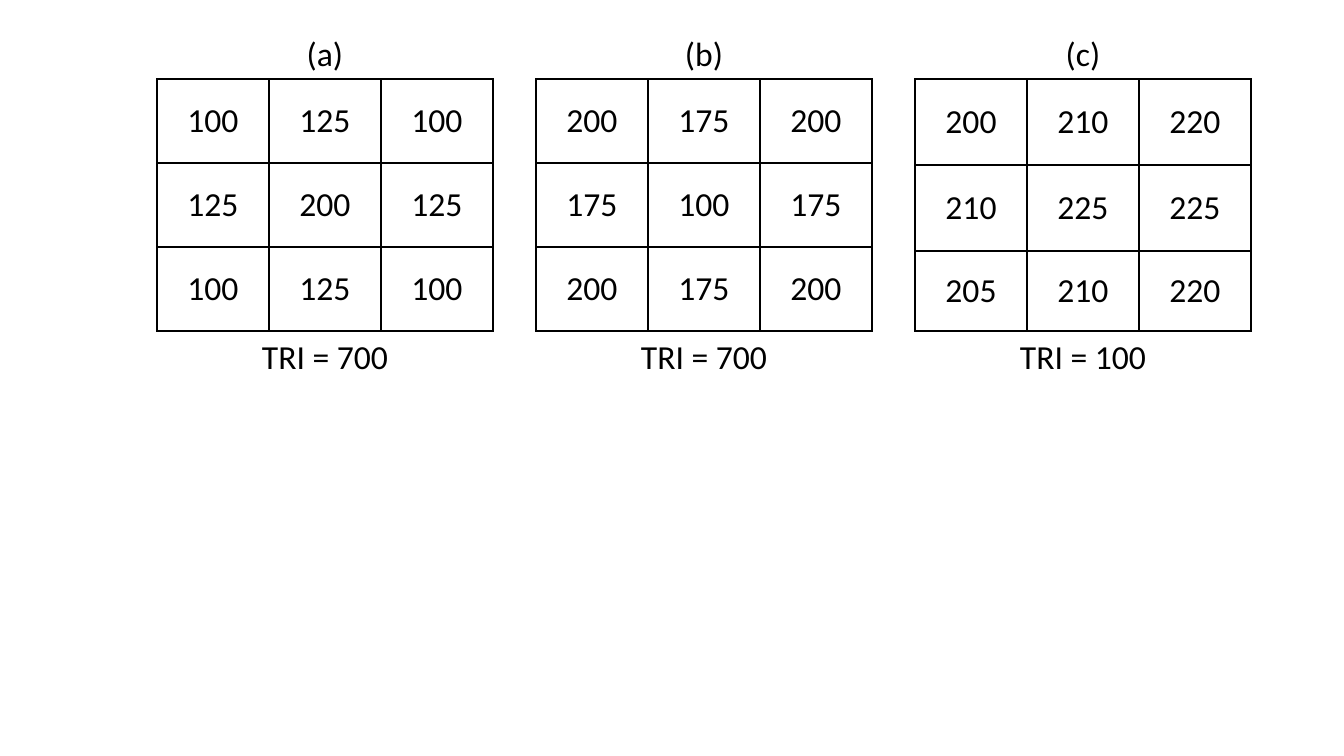
from dataclasses import dataclass

from lxml import etree
from pptx import Presentation
from pptx import util as u
from pptx.dml.color import RGBColor
from pptx.enum import text
from pptx.oxml.ns import qn


@dataclass(frozen=True)
class Theme:
    font: str = "Calibri"
    size: int = 24
    ink: str = "000000"
    border_pt: int = 1


THEME = Theme()
PX_PER_INCH = 100.8
PAGE_W, PAGE_H = 1344, 756
COLUMN_W = 112
GRID_W, GRID_H = 3 * COLUMN_W, 252
CAPTION_H = 51
PANEL_LEFT, PANEL_TOP, PANEL_STEP = 157, 28, 379

# Label, label width, result, row heights, elevations
PANELS = [
    ("(a)", 57, "TRI = 700", (84, 84, 84),
     [(100, 125, 100), (125, 200, 125), (100, 125, 100)]),
    ("(b)", 58, "TRI = 700", (84, 84, 84),
     [(200, 175, 200), (175, 100, 175), (200, 175, 200)]),
    ("(c)", 55, "TRI = 100", (86, 86, 80),
     [(200, 210, 220), (210, 225, 225), (205, 210, 220)]),
]
RESULT_W = 147


def px(length):
    return u.Emu(round(length * u.Inches(1) / PX_PER_INCH))


def style_text(para):
    para.alignment = text.PP_ALIGN.CENTER
    for span in para.runs:
        span.font.name = THEME.font
        span.font.size = u.Pt(THEME.size)
        span.font.color.rgb = RGBColor.from_string(THEME.ink)


def add_borders(cell):
    properties = cell._tc.get_or_add_tcPr()
    for index, side in enumerate(("lnL", "lnR", "lnT", "lnB")):
        line = etree.Element(qn(f"a:{side}"), w=str(u.Pt(THEME.border_pt)))
        fill = etree.SubElement(line, qn("a:solidFill"))
        etree.SubElement(fill, qn("a:srgbClr"), val=THEME.ink)
        properties.insert(index, line)


def add_caption(page, wording, center, top, width):
    box = page.shapes.add_textbox(
        px(center - width / 2), px(top), px(width), px(CAPTION_H))
    frame = box.text_frame
    frame.text = wording
    frame.word_wrap = False
    frame.auto_size = text.MSO_AUTO_SIZE.SHAPE_TO_FIT_TEXT
    style_text(frame.paragraphs[0])


def add_grid(page, left, top, row_heights, values):
    table = page.shapes.add_table(
        len(values), len(values[0]), px(left), px(top), px(GRID_W), px(GRID_H)).table
    table.first_row = False
    table.horz_banding = False
    for column in table.columns:
        column.width = px(COLUMN_W)
    for row, height, numbers in zip(table.rows, row_heights, values):
        row.height = px(height)
        for cell, number in zip(row.cells, numbers):
            cell.text = str(number)
            cell.vertical_anchor = text.MSO_ANCHOR.MIDDLE
            cell.fill.background()
            add_borders(cell)
            style_text(cell.text_frame.paragraphs[0])


def add_panel(page, left, top, panel):
    """Place one elevation grid with its label above and its result below."""
    label, label_width, result, row_heights, values = panel
    center = left + GRID_W / 2
    grid_top = top + CAPTION_H
    add_caption(page, label, center, top, label_width)
    add_grid(page, left, grid_top, row_heights, values)
    add_caption(page, result, center, grid_top + GRID_H, RESULT_W)


def main():
    deck = Presentation()
    deck.slide_width, deck.slide_height = px(PAGE_W), px(PAGE_H)
    page = deck.slides.add_slide(deck.slide_layouts[6])
    for index, panel in enumerate(PANELS):
        add_panel(page, PANEL_LEFT + index * PANEL_STEP, PANEL_TOP, panel)
    deck.save("out.pptx")


if __name__ == "__main__":
    main()
